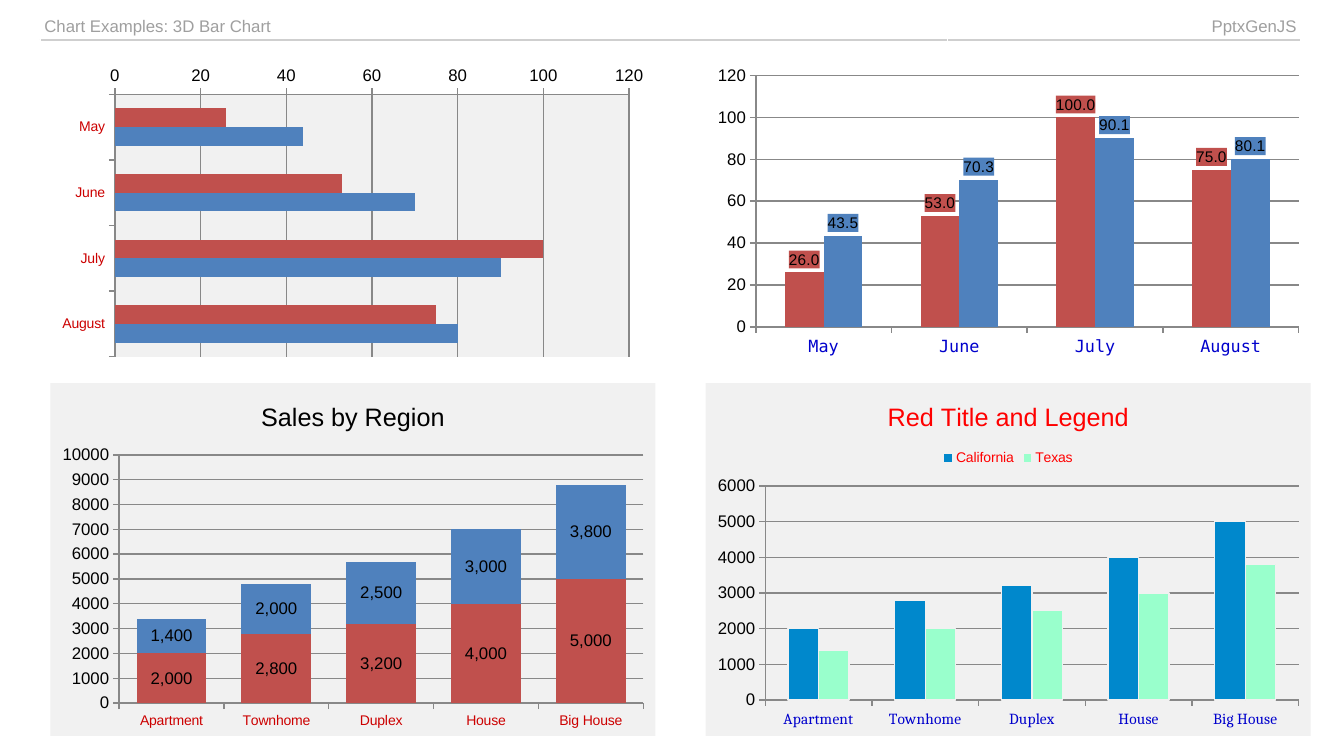
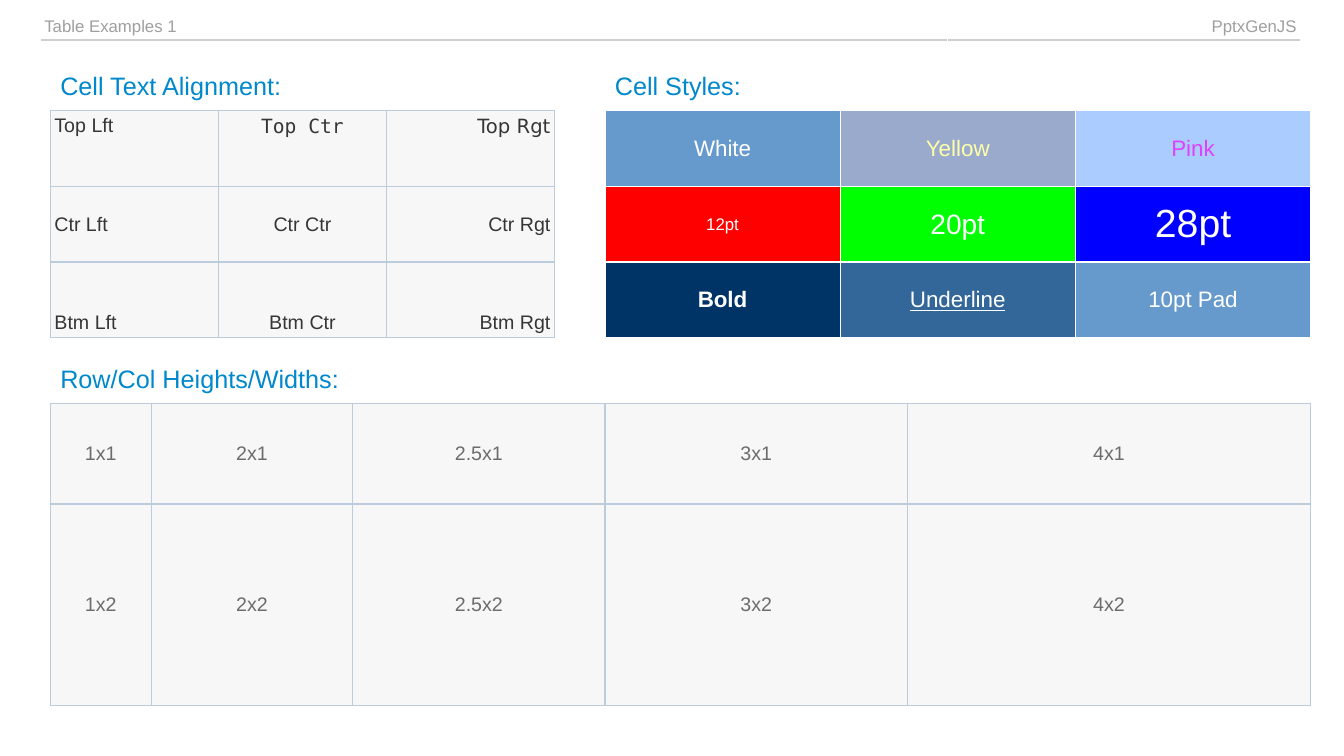
from dataclasses import dataclass, replace
from itertools import product

from lxml.etree import SubElement
from pptx import Presentation
from pptx.chart.data import CategoryChartData
from pptx.dml.color import RGBColor
from pptx.enum.chart import (XL_CHART_TYPE, XL_LABEL_POSITION, XL_LEGEND_POSITION,
                             XL_TICK_LABEL_POSITION, XL_TICK_MARK)
from pptx.enum.shapes import MSO_SHAPE
from pptx.enum.text import MSO_ANCHOR, PP_ALIGN
from pptx.oxml.ns import qn
from pptx.util import Inches, Pt


@dataclass(frozen=True)
class Theme:
    font: str = "Arial"
    mono: str = "DejaVu Sans Mono"
    sans: str = "DejaVu Sans"
    serif: str = "Cambria"
    black: str = "000000"
    white: str = "FFFFFF"
    header: str = "9F9F9F"
    header_rule: str = "CFCFCF"
    heading: str = "0088CC"
    panel: str = "F1F1F1"
    axis: str = "888888"
    cell: str = "F7F7F7"
    cell_rule: str = "BBCCDD"
    cell_text: str = "363636"
    size_text: str = "6C6C6C"
    red: str = "FF0000"
    dark_red: str = "CC0000"
    dark_blue: str = "0000CC"
    warm_pair: tuple = ("C0504D", "4F81BD")
    cool_pair: tuple = ("0088CC", "99FFCC")
    title_size: int = 18
    style_size: int = 16
    cell_size: int = 14
    body_size: int = 12
    label_size: int = 11
    small_size: int = 10


THEME = Theme()
GRID = 0.1  # inches per column and row
CELL_PAD = 0.04
LEFT, CENTER, RIGHT = PP_ALIGN.LEFT, PP_ALIGN.CENTER, PP_ALIGN.RIGHT
MIDDLE = MSO_ANCHOR.MIDDLE


@dataclass(frozen=True)
class Box:
    """An area counted in grid columns and rows."""
    col: float
    row: float
    cols: float
    rows: float

    def place(self):
        return [Inches(n * GRID) for n in (self.col, self.row, self.cols, self.rows)]


@dataclass(frozen=True)
class Cell:
    text: str
    color: str = THEME.cell_text
    size: int = THEME.cell_size
    font: str = THEME.font
    align: PP_ALIGN = CENTER
    anchor: MSO_ANCHOR = MIDDLE
    fill: str = None
    pad: float = CELL_PAD
    bold: bool = False
    underline: bool = False


def apply(target, formats):
    for name, value in formats.items():
        setattr(target, name, value)


def set_font(font, size, color, name=THEME.font, **extras):
    apply(font, {"size": Pt(size), "name": name, **extras})
    font.color.rgb = RGBColor.from_string(color)


def paint(fill, color):
    fill.solid()
    fill.fore_color.rgb = RGBColor.from_string(color)


def set_line(line, color):
    line.width = Pt(1)
    paint(line.fill, color)


def add_solid_fill(parent, color):
    SubElement(SubElement(parent, qn("a:solidFill")), qn("a:srgbClr")).set("val", color)


# Tables
def set_borders(cell, sides, color):
    properties = cell._tc.get_or_add_tcPr()
    for index, side in enumerate(sides):
        border = SubElement(properties, qn(f"a:ln{side}"))
        border.set("w", str(Pt(1)))
        add_solid_fill(border, color)
        properties.insert(index, border)


def fill_cell(cell, content):
    pad = Inches(content.pad)
    apply(cell, {"vertical_anchor": content.anchor, "margin_left": pad,
                 "margin_right": pad, "margin_top": pad, "margin_bottom": pad})
    paragraph = cell.text_frame.paragraphs[0]
    paragraph.alignment = content.align
    run = paragraph.add_run()
    run.text = content.text
    set_font(run.font, content.size, content.color, content.font,
             bold=content.bold, underline=content.underline)
    if content.fill:
        paint(cell.fill, content.fill)
    else:
        cell.fill.background()


def add_grid_table(slide, box, col_shares, row_shares, contents, rule, sides="LRTB"):
    """Split the box by column and row shares; contents run row by row."""
    table = slide.shapes.add_table(len(row_shares), len(col_shares), *box.place()).table
    apply(table, {"first_row": False, "horz_banding": False})
    for column, share in zip(table.columns, col_shares):
        column.width = Inches(box.cols * GRID * share / sum(col_shares))
    for row, share in zip(table.rows, row_shares):
        row.height = Inches(box.rows * GRID * share / sum(row_shares))
    for cell, content in zip(table.iter_cells(), contents):
        fill_cell(cell, content)
        set_borders(cell, sides, rule)


def add_header(slide, topic):
    style = Cell(topic, THEME.header, THEME.body_size, align=LEFT, anchor=MSO_ANCHOR.TOP)
    add_grid_table(slide, Box(4, 1.3, 125, 0), (9, 3.5), (1,),
                   [style, replace(style, text="PptxGenJS", align=RIGHT)],
                   THEME.header_rule, sides="B")


def add_heading(slide, box, text):
    frame = slide.shapes.add_textbox(*box.place()).text_frame
    apply(frame, {"word_wrap": True, "vertical_anchor": MIDDLE})
    run = frame.paragraphs[0].add_run()
    run.text = text
    set_font(run.font, THEME.title_size, THEME.heading)


# Charts
def style_axis(axis, size, color, font=THEME.font, low=False):
    apply(axis, {"major_tick_mark": XL_TICK_MARK.OUTSIDE,
                 "minor_tick_mark": XL_TICK_MARK.NONE,
                 "tick_label_position": XL_TICK_LABEL_POSITION.LOW if low
                 else XL_TICK_LABEL_POSITION.NEXT_TO_AXIS})
    apply(axis.tick_labels, {"number_format": "General", "number_format_is_linked": False})
    set_font(axis.tick_labels.font, size, color, font)
    set_line(axis.format.line, THEME.axis)


def add_value_labels(series, number_format, size, position, background=None):
    labels = series.data_labels
    apply(labels, {"show_value": True, "number_format": number_format,
                   "number_format_is_linked": False, "position": position})
    set_font(labels.font, size, THEME.black)
    if background:
        element = labels._element
        backdrop = SubElement(element, qn("c:spPr"))
        add_solid_fill(backdrop, background)
        element.find(qn("c:numFmt")).addnext(backdrop)


def add_bar_chart(slide, box, kind, categories, values, colors, category_style,
                  names=("Series 1", "Series 2"), gap=150, horizontal=False):
    data = CategoryChartData()
    data.categories = categories
    for name, numbers in zip(names, values):
        data.add_series(name, numbers)
    chart = slide.shapes.add_chart(kind, *box.place(), data).chart
    apply(chart, {"has_title": False, "has_legend": False})
    set_font(chart.font, THEME.small_size, THEME.black)
    plot = chart.plots[0]
    apply(plot, {"gap_width": gap, "vary_by_categories": False})
    for series, color in zip(plot.series, colors):
        series.invert_if_negative = False
        paint(series.format.fill, color)
    style_axis(chart.category_axis, *category_style, low=not horizontal)
    style_axis(chart.value_axis, THEME.body_size, THEME.black, low=horizontal)
    chart.category_axis.reverse_order = horizontal
    set_line(chart.value_axis.major_gridlines.format.line, THEME.axis)
    return chart


def add_panel(slide, box):
    panel = slide.shapes.add_shape(MSO_SHAPE.RECTANGLE, *box.place())
    panel.shadow.inherit = False
    paint(panel.fill, THEME.panel)
    panel.line.fill.background()


def add_chart_title(chart, text, color):
    chart.has_title = True
    run = chart.chart_title.text_frame.paragraphs[0].add_run()
    run.text = text
    set_font(run.font, THEME.title_size, color, bold=False)


def build_charts_slide(slide):
    add_header(slide, "Chart Examples: 3D Bar Chart")
    top_left, top_right = (Box(col, 6, 60, 30) for col in (5, 70))
    bottom_left, bottom_right = (Box(col, 38, 60, 35) for col in (5, 70))
    months = ("May", "June", "July", "August")
    homes = ("Apartment", "Townhome", "Duplex", "House", "Big House")
    sales = ((2000, 2800, 3200, 4000, 5000), (1400, 2000, 2500, 3000, 3800))
    first_months = (26, 53, 100, 75)

    # Horizontal bars by month
    month_bars = add_bar_chart(
        slide, top_left, XL_CHART_TYPE.BAR_CLUSTERED, months,
        (first_months, (44, 70, 90, 80)), THEME.warm_pair,
        (THEME.small_size, THEME.dark_red), horizontal=True)
    plot_area = month_bars._chartSpace.chart.plotArea
    add_solid_fill(SubElement(plot_area, qn("c:spPr")), THEME.panel)

    # Labelled columns by month
    month_columns = add_bar_chart(
        slide, top_right, XL_CHART_TYPE.COLUMN_CLUSTERED, months,
        (first_months, (43.5, 70.3, 90.1, 80.1)), THEME.warm_pair,
        (THEME.body_size, THEME.dark_blue, THEME.mono))
    for series, color in zip(month_columns.plots[0].series, THEME.warm_pair):
        add_value_labels(series, "#.0", THEME.label_size,
                         XL_LABEL_POSITION.OUTSIDE_END, color)

    # Stacked sales
    add_panel(slide, bottom_left)
    stacked_sales = add_bar_chart(
        slide, bottom_left, XL_CHART_TYPE.COLUMN_STACKED, homes, sales,
        THEME.warm_pair, (THEME.small_size, THEME.dark_red), gap=50)
    stacked_sales.plots[0].overlap = 100
    add_chart_title(stacked_sales, "Sales by Region", THEME.black)
    for series in stacked_sales.plots[0].series:
        add_value_labels(series, "#,##0", THEME.body_size, XL_LABEL_POSITION.CENTER)

    # Sales by state with legend
    add_panel(slide, bottom_right)
    state_sales = add_bar_chart(
        slide, bottom_right, XL_CHART_TYPE.COLUMN_CLUSTERED, homes, sales,
        THEME.cool_pair, (THEME.label_size, THEME.dark_blue, THEME.serif),
        names=("California", "Texas"))
    add_chart_title(state_sales, "Red Title and Legend", THEME.red)
    state_sales.has_legend = True
    apply(state_sales.legend, {"position": XL_LEGEND_POSITION.TOP,
                               "include_in_layout": False})
    set_font(state_sales.legend.font, THEME.small_size, THEME.red)
    for series in state_sales.plots[0].series:
        set_line(series.format.line, THEME.panel)


def build_tables_slide(slide):
    add_header(slide, "Table Examples 1")
    thirds = (1, 1, 1)

    # Alignment
    add_heading(slide, Box(5, 7, 40, 3), "Cell Text Alignment:")
    anchors = (("Top", MSO_ANCHOR.TOP), ("Ctr", MIDDLE), ("Btm", MSO_ANCHOR.BOTTOM))
    aligns = (("Lft", LEFT), ("Ctr", CENTER), ("Rgt", RIGHT))
    fonts = {"Top Ctr": THEME.mono, "Top Rgt": THEME.sans}
    alignment_cells = []
    for (vertical, anchor), (side, align) in product(anchors, aligns):
        text = f"{vertical} {side}"
        alignment_cells.append(Cell(text, font=fonts.get(text, THEME.font), align=align,
                                    anchor=anchor, fill=THEME.cell))
    add_grid_table(slide, Box(5, 11, 50, 22.5), thirds, thirds, alignment_cells,
                   THEME.cell_rule)

    # Styles
    add_heading(slide, Box(60, 7, 40, 3), "Cell Styles:")
    styles = (
        ("White", "6699CC", {}),
        ("Yellow", "99AACC", {"color": "FFFFAA"}),
        ("Pink", "AACCFF", {"color": "E140FE"}),
        ("12pt", "FF0000", {"size": 12}),
        ("20pt", "00FF00", {"size": 20}),
        ("28pt", "0000FF", {"size": 28}),
        ("Bold", "003366", {"bold": True}),
        ("Underline", "336699", {"underline": True}),
        ("10pt Pad", "6699CC", {"pad": 0.14}),
    )
    plain = Cell("", THEME.white, THEME.style_size)
    add_grid_table(slide, Box(60, 11, 70, 22.5), thirds, thirds,
                   [replace(plain, text=text, fill=fill, **changes)
                    for text, fill, changes in styles], THEME.white)

    # Sizes
    add_heading(slide, Box(5, 36, 100, 3), "Row/Col Heights/Widths:")
    widths, heights = (1, 2, 2.5, 3, 4), (1, 2)
    add_grid_table(slide, Box(5, 40, 125, 30), widths, heights,
                   [Cell(f"{width}x{height}", THEME.size_text, fill=THEME.cell)
                    for height, width in product(heights, widths)], THEME.cell_rule)


def main():
    deck = Presentation()
    apply(deck, {"slide_width": Inches(13.33), "slide_height": Inches(7.5)})
    for build in (build_charts_slide, build_tables_slide):
        build(deck.slides.add_slide(deck.slide_layouts[6]))
    deck.save("out.pptx")


if __name__ == "__main__":
    main()
